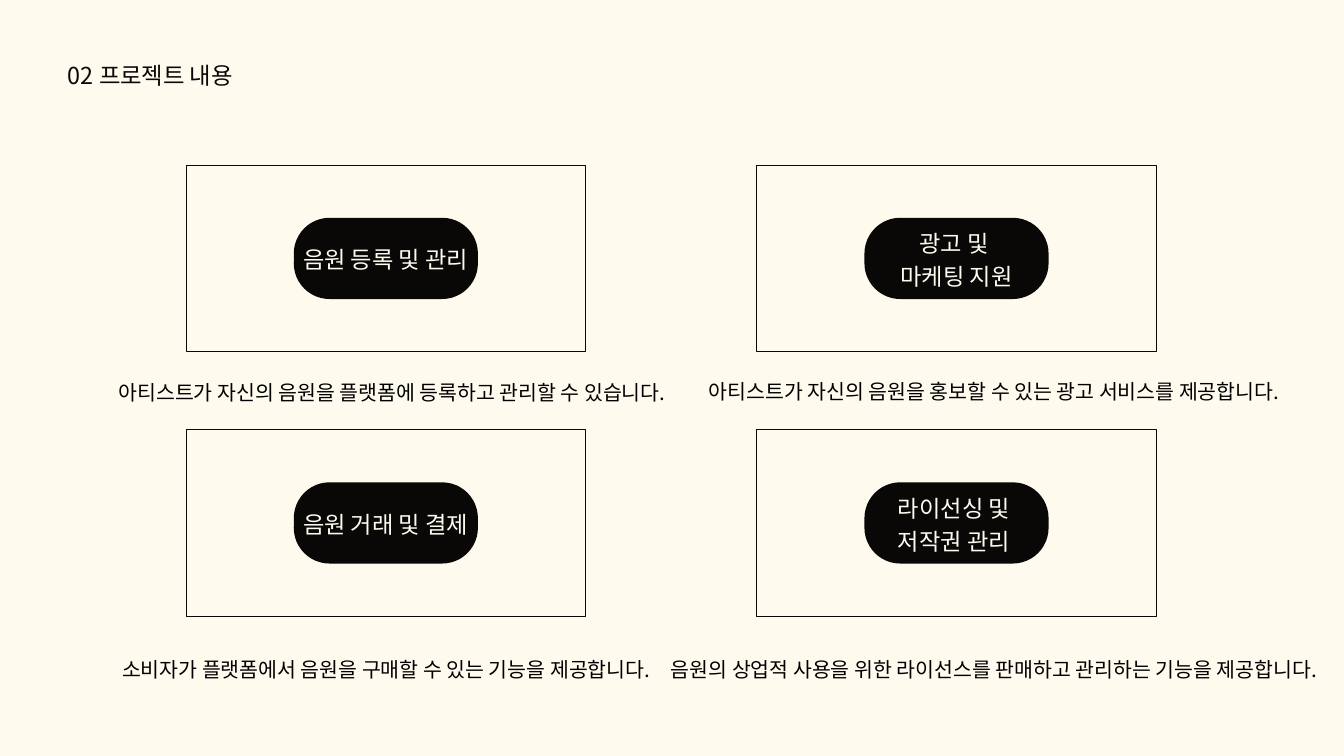
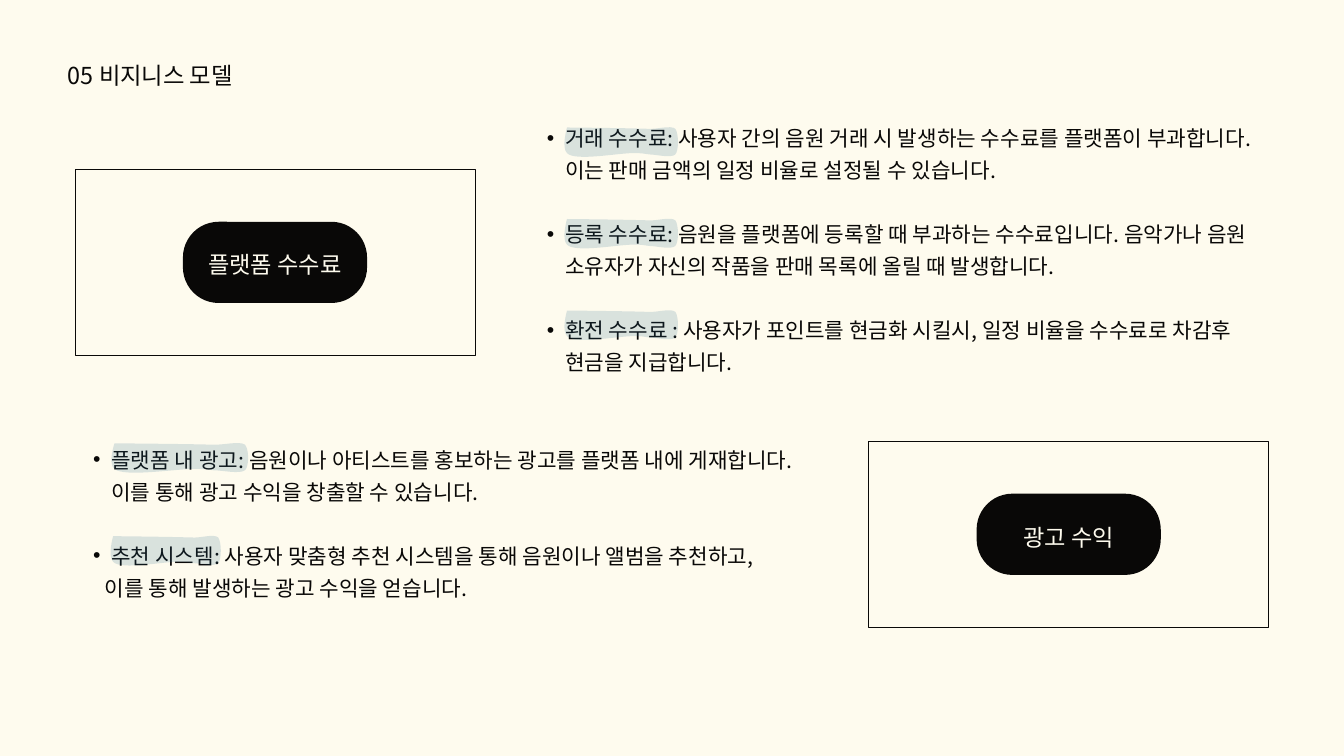
from dataclasses import dataclass

from lxml import etree
from pptx import Presentation
from pptx.dml.color import RGBColor
from pptx.enum.shapes import MSO_SHAPE
from pptx.enum.text import MSO_AUTO_SIZE, PP_ALIGN
from pptx.oxml.ns import qn
from pptx.util import Cm, Pt

RECTANGLE, ROUNDED = MSO_SHAPE.RECTANGLE, MSO_SHAPE.ROUNDED_RECTANGLE
LEFT, CENTER = PP_ALIGN.LEFT, PP_ALIGN.CENTER
GROW = MSO_AUTO_SIZE.SHAPE_TO_FIT_TEXT

FONT = "Noto Sans CJK SC"
CREAM, INK, BLACK, MARKER = "FEFBEE", "090807", "000000", "26678B"

# Lengths in centimetres
FRAME_W, FRAME_H = 15.11, 7.06
PILL_W, PILL_H = 6.96, 3.07
LABEL_W, LABEL_LINE = 6.81, 1.2
BULLET_INDENT, BULLET_HANG = 1.37, 0.69

# Marker stroke: x as a share of its width, y in centimetres
STROKE_START = (0.05, 0.1)
STROKE_CURVES = [
    ((0.68, 0.13), (0.7, 0.15), (0.74, 0.15)),
    ((0.81, 0.18), (0.93, 0), (0.97, 0.15)),
    ((1, 0.33), (1, 0.97), (0.97, 1.12)),
    ((0.93, 1.27), (0.81, 1.12), (0.75, 1.12)),
    ((0.7, 1.09), (0.69, 1.07), (0.63, 1.07)),
    ((0.51, 1.04), (0.12, 1.4), (0.05, 1.07)),
    ((0, 0.86), (0.05, 0.1), (0.05, 0.1)),
]


@dataclass
class TextStyle:
    size: float
    line: float
    color: str
    align: int = LEFT


@dataclass
class Line:
    text: str
    indent: float = 0
    bullet: bool = False
    before: float = 0


@dataclass
class Card:
    left: float
    top: float
    lines: list[str]
    label_right: float = 0
    label_down: float = -0.06


@dataclass
class Caption:
    left: float
    top: float
    width: float
    text: str


@dataclass
class Highlight:
    left: float
    top: float
    width: float


TITLE = TextStyle(25, 35, INK)
LABEL = TextStyle(24.94, 34.91, CREAM, CENTER)
CAPTION = TextStyle(22, 30.8, BLACK, CENTER)
BODY = TextStyle(22.86, 34.29, INK)


def rgb(color: str) -> RGBColor:
    return RGBColor.from_string(color)


def set_values(target, values: dict) -> None:
    for name, value in values.items():
        setattr(target, name, value)


def paint(shape, color: str) -> None:
    shape.shadow.inherit = False
    shape.fill.solid()
    shape.fill.fore_color.rgb = rgb(color)
    shape.line.fill.background()


def add_text(page, left: float, top: float, width: float, height: float,
             lines: list[Line], style: TextStyle) -> None:
    box = page.shapes.add_textbox(Cm(left), Cm(top), Cm(width), Cm(height))
    frame = box.text_frame
    set_values(frame, dict(word_wrap=True, auto_size=GROW, margin_left=0,
                           margin_right=0, margin_top=0, margin_bottom=0))
    for number, line in enumerate(lines):
        para = frame.add_paragraph() if number else frame.paragraphs[0]
        set_values(para, dict(alignment=style.align, line_spacing=Pt(style.line)))
        if line.before:
            para.space_before = Pt(line.before)
        properties = para._p.get_or_add_pPr()
        if line.indent:
            properties.set("marL", str(Cm(line.indent)))
        if line.bullet:
            properties.set("indent", str(-Cm(BULLET_HANG)))
            etree.SubElement(properties, qn("a:buFont"), typeface="Arial")
            etree.SubElement(properties, qn("a:buChar"), char="•")
        span = para.add_run()
        span.text = line.text
        set_values(span.font, dict(size=Pt(style.size), name=FONT))
        span.font.color.rgb = rgb(style.color)
        etree.SubElement(span._r.get_or_add_rPr(), qn("a:ea"), typeface=FONT)


def add_card(page, card: Card) -> None:
    frame = page.shapes.add_shape(RECTANGLE, Cm(card.left), Cm(card.top),
                                  Cm(FRAME_W), Cm(FRAME_H))
    frame.shadow.inherit = False
    frame.fill.background()
    frame.line.color.rgb = rgb(INK)
    frame.line.width = Pt(0.75)

    center_x, center_y = card.left + FRAME_W / 2, card.top + FRAME_H / 2
    pill = page.shapes.add_shape(ROUNDED, Cm(center_x - PILL_W / 2),
                                 Cm(center_y - PILL_H / 2), Cm(PILL_W), Cm(PILL_H))
    pill.adjustments[0] = 0.44
    paint(pill, INK)

    height = LABEL_LINE * len(card.lines)
    add_text(page, center_x - LABEL_W / 2 + card.label_right,
             center_y - height / 2 + card.label_down,
             LABEL_W, height, [Line(text) for text in card.lines], LABEL)


def add_highlight(page, mark: Highlight) -> None:
    def place(point: tuple[float, float]) -> tuple[int, int]:
        return Cm(mark.left + point[0] * mark.width), Cm(mark.top + point[1])

    builder = page.shapes.build_freeform(*place(STROKE_START))
    builder.add_line_segments([place(curve[-1]) for curve in STROKE_CURVES], close=False)
    stroke = builder.convert_to_shape()
    paint(stroke, MARKER)
    color = stroke._element.spPr.find(qn("a:solidFill")).find(qn("a:srgbClr"))
    etree.SubElement(color, qn("a:alpha"), val="17000")

    # Bend each straight segment into its cubic curve
    segments = list(stroke._element.iter(qn("a:lnTo")))
    for segment, curve in zip(segments, STROKE_CURVES):
        bend = etree.Element(qn("a:cubicBezTo"))
        for x, y in map(place, curve):
            etree.SubElement(bend, qn("a:pt"), x=str(x - stroke.left), y=str(y - stroke.top))
        segment.getparent().replace(segment, bend)


def add_page(deck, title: str, cards: list[Card]):
    page = deck.slides.add_slide(deck.slide_layouts[6])
    page.background.fill.solid()
    page.background.fill.fore_color.rgb = rgb(CREAM)
    add_text(page, 2.57, 2.13, 6.4, 1.17, [Line(title)], TITLE)
    for card in cards:
        add_card(page, card)
    return page


def bullet(text: str, before: float = BODY.line) -> Line:
    return Line(text, BULLET_INDENT, True, before)


def add_project_page(deck) -> None:
    left, right, upper, lower = 7.03, 28.6, 6.24, 16.24
    page = add_page(deck, "02 프로젝트 내용", [
        Card(left, upper, ["음원 등록 및 관리"]),
        Card(right, upper, ["광고 및 ", "마케팅 지원"]),
        Card(left, lower, ["음원 거래 및 결제"]),
        Card(right, lower, ["라이선싱 및", "저작권 관리"], label_right=-0.09),
    ])
    captions = [
        Caption(3.33, 24.69, 22.53, "소비자가 플랫폼에서 음원을 구매할 수 있는 기능을 제공합니다."),
        Caption(3.78, 14.2, 22.07, "아티스트가 자신의 음원을 플랫폼에 등록하고 관리할 수 있습니다."),
        Caption(25.86, 14.17, 23.42, "아티스트가 자신의 음원을 홍보할 수 있는 광고 서비스를 제공합니다."),
        Caption(25.35, 24.69, 24.43, "음원의 상업적 사용을 위한 라이선스를 판매하고 관리하는 기능을 제공합니다."),
    ]
    for caption in captions:
        add_text(page, caption.left, caption.top, caption.width, 1.04,
                 [Line(caption.text)], CAPTION)


def add_business_page(deck) -> None:
    page = add_page(deck, "05 비지니스 모델", [
        Card(2.84, 6.39, ["플랫폼 수수료"], label_down=-0.03),
        Card(32.84, 16.67, ["광고 수익"], label_down=0.01),
    ])
    # Fees
    add_text(page, 19.99, 4.5, 27.94, 10.67, [
        bullet("거래 수수료: 사용자 간의 음원 거래 시 발생하는 수수료를 플랫폼이 부과합니다. "
               "이는 판매 금액의 일정 비율로 설정될 수 있습니다.", before=0),
        bullet("등록 수수료: 음원을 플랫폼에 등록할 때 부과하는 수수료입니다. "
               "음악가나 음원 소유자가 자신의 작품을 판매 목록에 올릴 때 발생합니다."),
        bullet("환전 수수료 : 사용자가 포인트를 현금화 시킬시, "
               "일정 비율을 수수료로 차감후 현금을 지급합니다."),
    ], BODY)
    # Advertising
    add_text(page, 2.84, 16.65, 27.48, 7.09, [
        bullet("플랫폼 내 광고: 음원이나 아티스트를 홍보하는 광고를 플랫폼 내에 게재합니다. "
               "이를 통해 광고 수익을 창출할 수 있습니다.", before=0),
        bullet("추천 시스템: 사용자 맞춤형 추천 시스템을 통해 음원이나 앨범을 추천하고,"),
        Line("이를 통해 발생하는 광고 수익을 얻습니다.", 1.12),
    ], BODY)
    # Marker strokes over the terms
    fees = [Highlight(21.21, 4.72 + 3.46 * row, 4.45) for row in range(3)]
    adverts = [Highlight(4.06, 16.66, 5.36), Highlight(4.06, 20.17, 4.32)]
    for mark in fees + adverts:
        add_highlight(page, mark)


def main() -> None:
    deck = Presentation()
    set_values(deck, dict(slide_width=Cm(50.8), slide_height=Cm(28.58)))
    add_project_page(deck)
    add_business_page(deck)
    deck.save("out.pptx")


if __name__ == "__main__":
    main()
